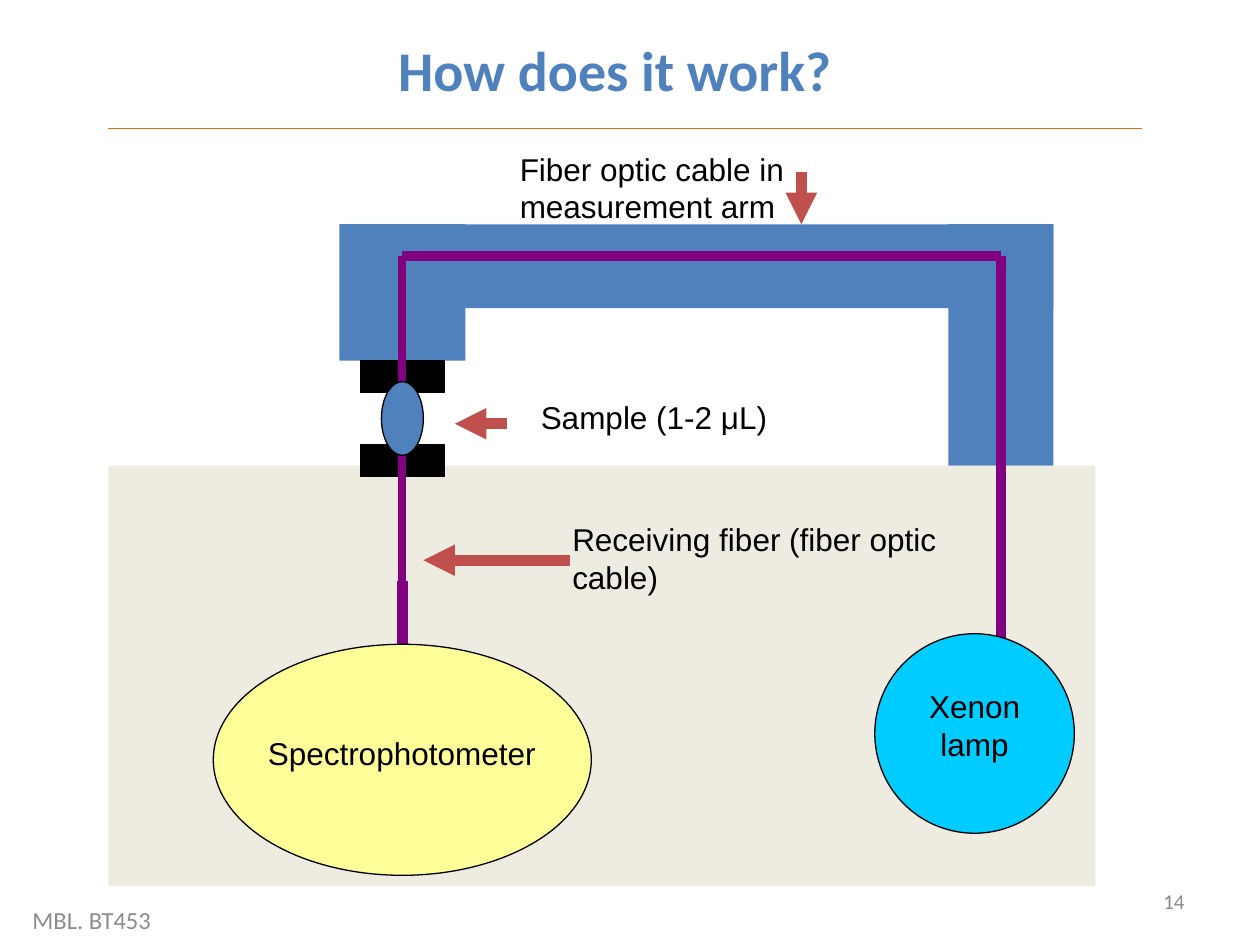
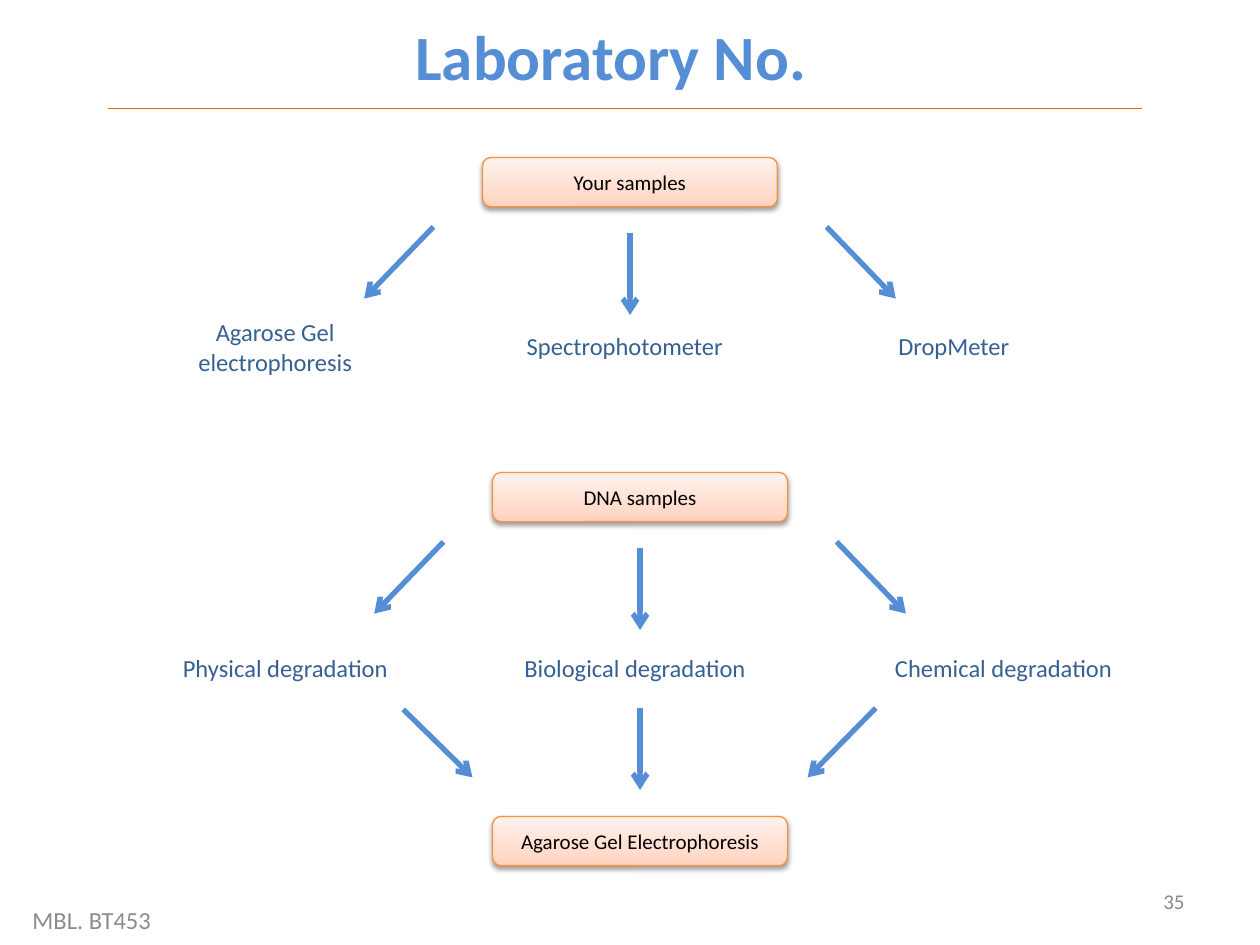
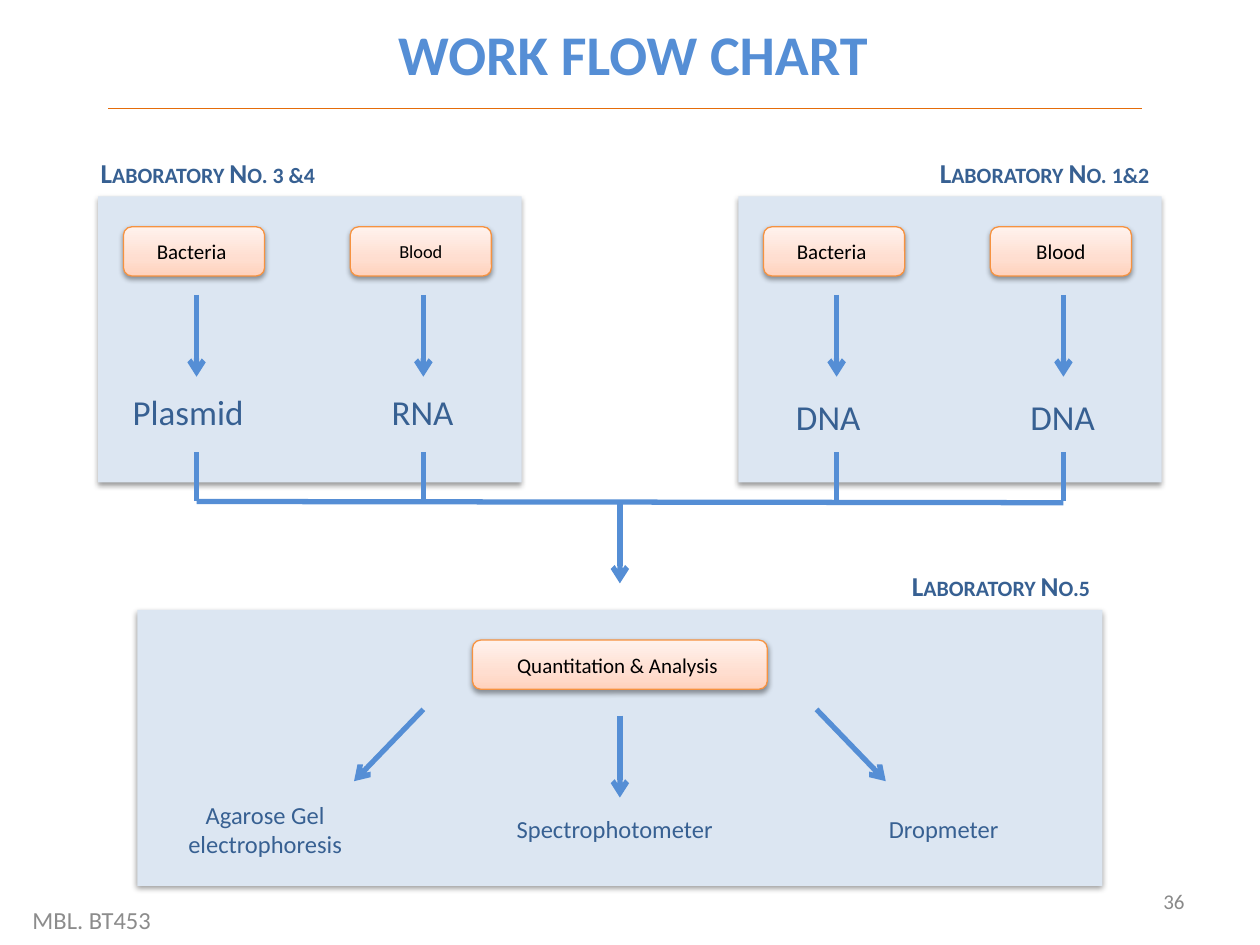
from copy import deepcopy
from dataclasses import dataclass

from lxml import etree
from pptx import Presentation
from pptx.dml.color import RGBColor
from pptx.enum.shapes import MSO_CONNECTOR, MSO_SHAPE
from pptx.enum.text import MSO_ANCHOR, MSO_AUTO_SIZE, PP_ALIGN
from pptx.oxml.ns import qn
from pptx.util import Inches, Pt

RECT, ROUND, OVAL = MSO_SHAPE.RECTANGLE, MSO_SHAPE.ROUNDED_RECTANGLE, MSO_SHAPE.OVAL
STRAIGHT = MSO_CONNECTOR.STRAIGHT
TOP, MID, LOW = MSO_ANCHOR.TOP, MSO_ANCHOR.MIDDLE, MSO_ANCHOR.BOTTOM
LEFT, CENTER, RIGHT = PP_ALIGN.LEFT, PP_ALIGN.CENTER, PP_ALIGN.RIGHT
FIXED = MSO_AUTO_SIZE.NONE

BLACK = RGBColor(0x00, 0x00, 0x00)
BLUE = RGBColor(0x4F, 0x81, 0xBD)
SKY = RGBColor(0x55, 0x8E, 0xD5)
NAVY = RGBColor(0x37, 0x60, 0x92)
PALE = RGBColor(0xDC, 0xE6, 0xF2)
AMBER = RGBColor(0xE4, 0x6C, 0x0A)
EDGE = RGBColor(0xF6, 0x92, 0x40)
RED = RGBColor(0xC0, 0x50, 0x4D)
PURPLE = RGBColor(0x80, 0x00, 0x80)
SAND = RGBColor(0xEE, 0xEC, 0xE1)
CYAN = RGBColor(0x00, 0xCC, 0xFF)
YELLOW = RGBColor(0xFF, 0xFF, 0x99)
GRAY = RGBColor(0x8C, 0x8C, 0x8C)
ASH = RGBColor(0x89, 0x89, 0x89)
PEACH = [(0, RGBColor(0xFF, 0xD2, 0xBD)), (0.35, RGBColor(0xFF, 0xDE, 0xD0)),
         (1, RGBColor(0xFF, 0xF2, 0xED))]


@dataclass
class Grid:
    """Square cells, sized in inches, counted from a left and top edge."""
    left: float
    top: float
    cell: float

    def point(self, x, y):
        return Inches(self.left + x * self.cell), Inches(self.top + y * self.cell)

    def box(self, x, y, w, h):
        return *self.point(x, y), Inches(w * self.cell), Inches(h * self.cell)

    def sub(self, x, y, cell=None):
        return Grid(self.left + x * self.cell, self.top + y * self.cell,
                    cell or self.cell)


PAGE = Grid(0, 0, 0.1)


# Basic parts

def write(shape, text, size=14, color=NAVY, font="Calibri", bold=False,
          align=CENTER, anchor=TOP, small=False):
    frame = shape.text_frame
    frame.word_wrap = True
    frame.auto_size = FIXED
    frame.vertical_anchor = anchor
    para = frame.paragraphs[0]
    para.alignment = align
    run = para.add_run()
    run.text = text
    run.font.name, run.font.size, run.font.bold = font, Pt(size), bold
    run.font.color.rgb = color
    if small:
        run._r.get_or_add_rPr().set("cap", "small")


def label(slide, box, text, **style):
    write(slide.shapes.add_textbox(*box), text, **style)


def block(slide, kind, box, fill=None, line=None):
    shape = slide.shapes.add_shape(kind, *box)
    shape.shadow.inherit = False
    if fill is not None:
        shape.fill.solid()
        shape.fill.fore_color.rgb = fill
    if line is None:
        shape.line.fill.background()
    else:
        shape.line.color.rgb = line
        shape.line.width = Pt(0.75)
    return shape


def cast(shape):
    """Give a shape a soft shadow below it."""
    effects = shape._element.spPr.find(qn("a:effectLst"))
    outer = etree.SubElement(effects, qn("a:outerShdw"), blurRad=str(Pt(3.1)),
                             dist=str(Pt(1.6)), dir="5400000", rotWithShape="0")
    tint = etree.SubElement(outer, qn("a:srgbClr"), val=str(BLACK))
    etree.SubElement(tint, qn("a:alpha"), val="38000")


def line(slide, start, end, color=SKY, width=3, head=None):
    link = slide.shapes.add_connector(STRAIGHT, *start, *end)
    link.line.color.rgb = color
    link.line.width = Pt(width)
    props = link._element.spPr
    if head:
        etree.SubElement(props.find(qn("a:ln")), qn("a:tailEnd"), type=head)
    etree.SubElement(props, qn("a:effectLst"))


def arrow(slide, grid, x1, y1, x2, y2):
    line(slide, grid.point(x1, y1), grid.point(x2, y2), head="arrow")


def button(slide, box, text, size=12):
    shape = block(slide, ROUND, box, line=EDGE)
    shape.fill.gradient()
    shape.fill.gradient_angle = 90
    stops = shape._element.spPr.find(qn("a:gradFill")).find(qn("a:gsLst"))
    stops.append(deepcopy(stops[0]))
    for stop, (place, color) in zip(shape.fill.gradient_stops, PEACH):
        stop.position = place
        stop.color.rgb = color
    cast(shape)
    write(shape, text, size=size, color=BLACK, anchor=MID)


# Title, rule and footer of every slide

def start(deck, text, number, box, rule=8.6, **style):
    slide = deck.slides.add_slide(deck.slide_layouts[5])
    title = slide.shapes.title
    title.left, title.top, title.width, title.height = PAGE.box(*box)
    write(title, text, bold=True, **style)
    line(slide, PAGE.point(8.6, rule), PAGE.point(90.6, rule), AMBER, 0.75)
    label(slide, PAGE.box(1.6, 71, 35, 4), "MBL. BT453", color=GRAY,
          align=LEFT, anchor=MID)
    label(slide, PAGE.box(71.7, 69.5, 23.3, 4), str(number), size=12, color=ASH,
          align=RIGHT, anchor=MID)
    return slide


# Instrument diagram

def device(slide, grid):
    note = dict(size=18, font="Arial", color=BLACK)

    def part(kind, box, fill, edge=None):
        return block(slide, kind, grid.box(*box), fill, edge)

    def fiber(x1, y1, x2, y2, width=6):
        line(slide, grid.point(x1, y1), grid.point(x2, y2), PURPLE, width)

    def pointer(x1, y1, x2, y2):
        line(slide, grid.point(x1, y1), grid.point(x2, y2), RED, 6, "triangle")

    # Arm, upper holder and base
    part(RECT, (22, 0, 12, 13), BLUE)
    part(RECT, (26, 0, 64, 8), BLUE)
    part(RECT, (24, 13, 8, 3), BLACK, BLACK)
    fiber(28, 3, 28, 15, 4.5)
    part(RECT, (80, 0, 10, 23), BLUE)
    fiber(28, 3, 85, 3)
    part(RECT, (0, 23, 94, 40), SAND)

    # Receiving side
    fiber(28, 34, 28, 47)
    part(RECT, (24, 21, 8, 3), BLACK, BLACK)
    fiber(28, 22, 28, 34, 4.5)
    part(OVAL, (10, 40, 36, 22), YELLOW, BLACK)
    part(OVAL, (26, 15, 4, 7), BLUE, BLACK)

    # Light source
    fiber(85, 3, 85, 41)
    part(OVAL, (73, 39, 19, 19), CYAN, BLACK)
    write(part(RECT, (76, 43.5, 13, 8.4), CYAN), "Xenon lamp", **note)

    # Labels and pointers
    for text, box in [
            ("Fiber optic cable in measurement arm", (38, -7.7, 39, 8.4)),
            ("Sample (1-2 μL)", (40, 16, 26, 4.8)),
            ("Receiving fiber (fiber optic cable)", (43, 27.6, 39, 8.4)),
            ("Spectrophotometer", (14, 48, 28, 4.8))]:
        label(slide, grid.box(*box), text, align=LEFT, **note)
    pointer(66, -5, 66, 0)
    pointer(38, 19, 33, 19)
    pointer(44, 32, 30, 32)


# A button that branches into three labels

def fan(slide, grid, name, labels):
    button(slide, grid.box(0, 0, 23.4, 3.9), name)
    arrow(slide, grid, 11.7, 6, 11.7, 12.5)
    arrow(slide, grid, -3.9, 5.5, -9.4, 11.2)
    arrow(slide, grid, 27.3, 5.5, 32.8, 11.2)
    for text, mid, top, high in labels:
        label(slide, grid.box(mid - 10.15, top, 20.3, high), text)


def methods(last):
    return [("Agarose Gel electrophoresis", -16.45, 12.2, 5.7),
            ("Spectrophotometer", 11.3, 13.3, 3.4), (last, 37.4, 13.3, 3.4)]


def merge(slide, grid, name):
    arrow(slide, grid, -7.1, 18.8, -1.6, 24.2)
    arrow(slide, grid, 11.7, 18.7, 11.7, 25.2)
    arrow(slide, grid, 30.4, 18.7, 25, 24.2)
    button(slide, grid.box(0, 27.3, 23.4, 3.9), name)


# Work flow panels

def panel(slide, grid, width, height, name, align=RIGHT):
    cast(block(slide, RECT, grid.box(0, 0, width, height), PALE))
    x = width - 25.8 if align == RIGHT else -0.8
    label(slide, grid.box(x, -3.9, 25.8, 3.8), name, size=15.6, bold=True,
          align=align, anchor=LOW, small=True)


def lab(slide, grid, name, align, top, pairs):
    panel(slide, grid, 33.6, 22.7, name, align)
    for i, (source, size, product) in enumerate(pairs):
        col = grid.sub(2 + 18 * i, 0)
        button(slide, col.box(0, 2.4, 11.2, 3.9), source, size)
        arrow(slide, col, 5.8, 7.8, 5.8, 14.3)
        label(slide, col.box(-1.2 + 0.6 * i, top, 13.3, 4.4), product, size=20)
        line(slide, col.point(5.8, 20.3), col.point(5.8, 24.2))


def main():
    deck = Presentation()
    deck.slide_width, deck.slide_height = Inches(10), Inches(7.5)

    slide = start(deck, "How does it work?", 14, (3.9, 2.3, 89.8, 5.3), rule=10.2,
                  size=32, color=BLUE)
    device(slide, PAGE.sub(8.6, 17.8, 1 / 12))

    slide = start(deck, "Laboratory No. ", 35, (8.2, 1.7, 81.7, 5.3),
                  size=36, color=SKY, anchor=MID)
    fan(slide, PAGE.sub(38.3, 12.5), "Your samples", methods("DropMeter"))
    decay = PAGE.sub(39.1, 37.5)
    fan(slide, decay, "DNA samples", [
        (f"{kind} degradation", mid, 13.8, 3.4) for kind, mid in
        [("Physical", -16.45), ("Biological", 11.3), ("Chemical", 40.55)]])
    merge(slide, decay, "Agarose Gel Electrophoresis")

    slide = start(deck, "WORK FLOW CHART", 36, (9.4, 1.6, 81.7, 5.3),
                  size=32, color=SKY, anchor=MID)
    lab(slide, PAGE.sub(7.8, 15.6), "Laboratory No. 3 &4", LEFT, 14.9,
        [("Bacteria ", 12, "Plasmid "), ("Blood", 10.5, "RNA ")])
    lab(slide, PAGE.sub(58.6, 15.6), "Laboratory No. 1&2", RIGHT, 15.3,
        [("Bacteria ", 12, "DNA "), ("Blood", 12, "DNA ")])
    line(slide, PAGE.point(15.6, 39.8), PAGE.point(84.4, 39.9))
    arrow(slide, PAGE, 49.2, 39.8, 49.2, 46.3)
    panel(slide, PAGE.sub(10.9, 48.4), 76.6, 21.9, "Laboratory No.5")
    fan(slide, PAGE.sub(37.5, 50.8), "Quantitation & Analysis ", methods("Dropmeter"))

    deck.save("out.pptx")


if __name__ == "__main__":
    main()
